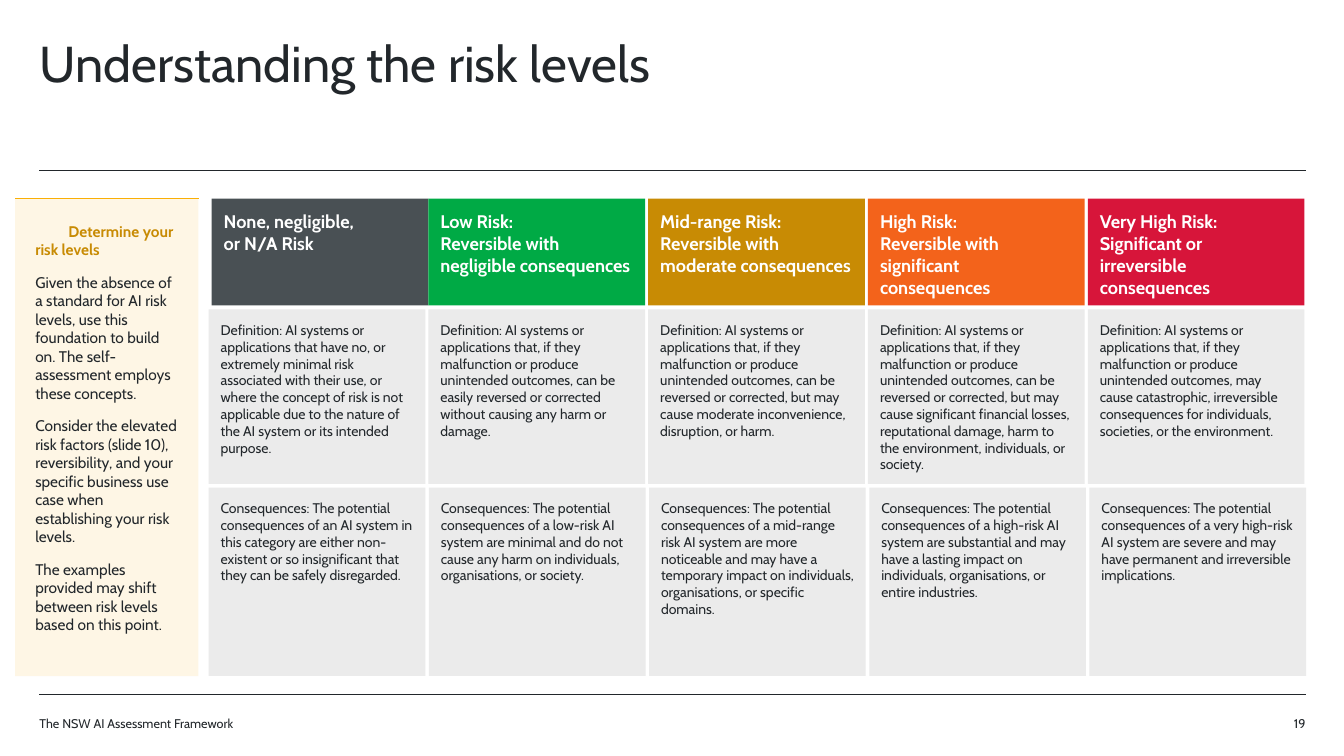
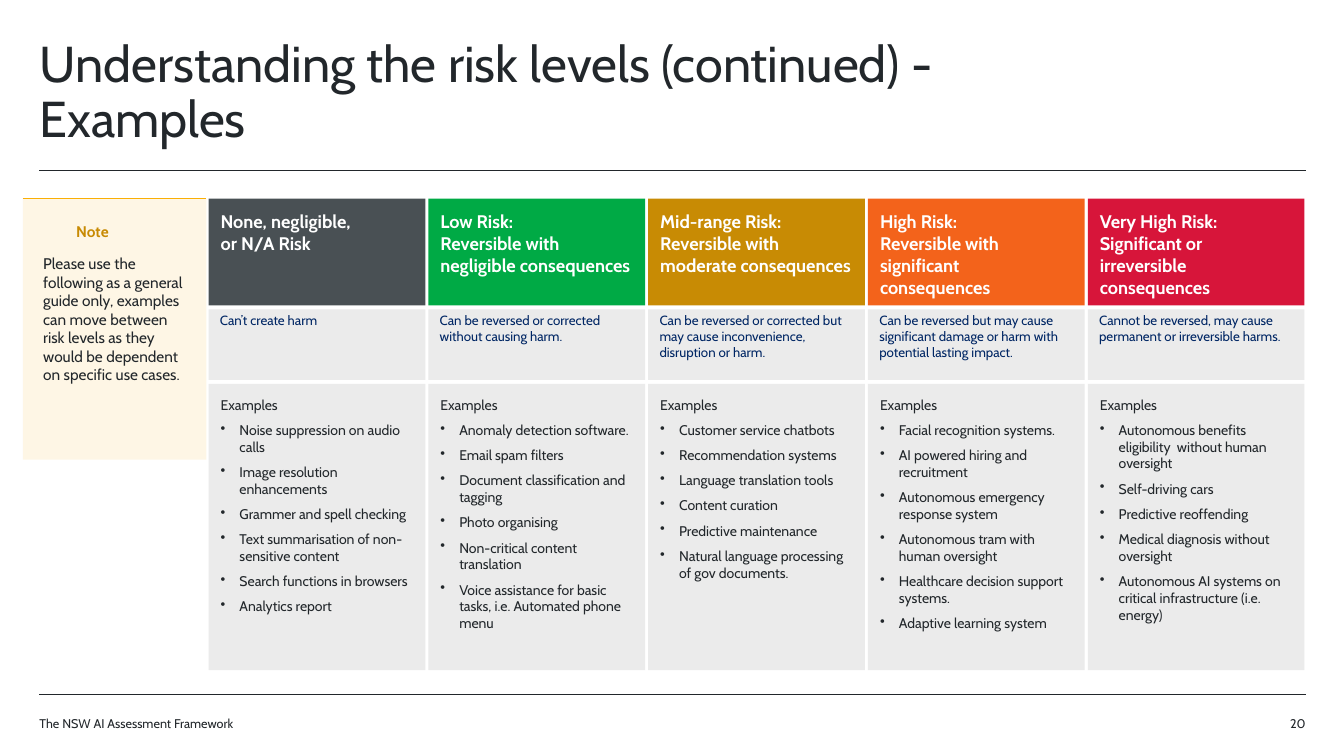
from lxml import etree
from pptx import Presentation
from pptx.dml.color import RGBColor
from pptx.enum.shapes import MSO_CONNECTOR, MSO_SHAPE
from pptx.enum.text import MSO_ANCHOR, PP_ALIGN
from pptx.oxml.ns import qn
from pptx.util import Pt

LEFT, RIGHT = PP_ALIGN.LEFT, PP_ALIGN.RIGHT
TOP = MSO_ANCHOR.TOP
RECT = MSO_SHAPE.RECTANGLE
STRAIGHT = MSO_CONNECTOR.STRAIGHT

# Shared look
FONT = "Cabin"
INK, WHITE, PANEL, NAVY = "22272B", "FFFFFF", "EBEBEB", "002664"
AMBER, OCHRE = "FAAF05", "C88B04"
MARGIN, RULE_RIGHT = 28.2, 932.6
GRID_LEFT, PITCH, COLUMN_WIDTH = 149, 157, 154.8
BAND_TOP, BAND_HEIGHT = 141.8, 76.4
BODY_TOP = 221
SIDEBAR_WIDTH = 131
BULLET_INDENT = 13.5
HEADING_INDENT = 23.6
NO_INSETS = (0, 0, 0, 0)
BAND_INSETS = (8.6, 8.6, 8.6, 8.6)
CELL_INSETS = (8.6, 8.6, 8.6, 0)
NOTE_INSETS = (7.2, 3.6, 7.2, 3.6)
SIDEBAR_INSETS = (14.4, 16.6, 14.4, 14.4)

TITLE_STYLE = {"size": 36, "line_spacing": 0.9}
FOOTER_STYLE = {"size": 9}
BAND_STYLE = {"size": 13, "bold": True, "color": WHITE}
CELL_STYLE = {"size": 10, "space_after": Pt(10)}
EXAMPLE_STYLE = {"size": 10, "space_after": Pt(6)}
SUMMARY_STYLE = {"size": 9.5, "color": NAVY}
SIDEBAR_STYLE = {"size": 11, "space_after": Pt(10)}
SIDEBAR_HEADING = {"bold": True, "color": OCHRE, "first_indent": HEADING_INDENT}
BULLET = {"bullet": True}

# Content
FOOTER = "The NSW AI Assessment Framework"
RISK_LEVELS = [
    ("495054", ["None, negligible,", "or N/A Risk"]),
    ("00AA45", ["Low Risk:", "Reversible with negligible consequences"]),
    (OCHRE, ["Mid-range Risk: Reversible with moderate consequences"]),
    ("F3631B", ["High Risk:", "Reversible with significant consequences"]),
    ("D7153A", ["Very High Risk: Significant or irreversible consequences"]),
]
MALFUNCTION = "that, if they malfunction or produce unintended outcomes, "
DEFINITIONS = [
    "that have no, or extremely minimal risk associated with their use, or where "
    "the concept of risk is not applicable due to the nature of the AI system or "
    "its intended purpose.",
    MALFUNCTION + "can be easily reversed or corrected without causing any harm "
    "or damage.",
    MALFUNCTION + "can be reversed or corrected, but may cause moderate "
    "inconvenience, disruption, or harm.",
    MALFUNCTION + "can be reversed or corrected, but may cause significant "
    "financial losses, reputational damage, harm to the environment, individuals, "
    "or society.",
    MALFUNCTION + "may cause catastrophic, irreversible consequences for "
    "individuals, societies, or the environment.",
]
CONSEQUENCES = [
    "an AI system in this category are either non-existent or so insignificant "
    "that they can be safely disregarded.",
    "a low-risk AI system are minimal and do not cause any harm on individuals, "
    "organisations, or society.",
    "a mid-range risk AI system are more noticeable and may have a temporary "
    "impact on individuals, organisations, or specific domains.",
    "a high-risk AI system are substantial and may have a lasting impact on "
    "individuals, organisations, or entire industries.",
    "a very high-risk AI system are severe and may have permanent and "
    "irreversible implications.",
]
GUIDANCE = [
    "Given the absence of a standard for AI risk levels, use this foundation to "
    "build on. The self-assessment employs these concepts.",
    "Consider the elevated risk factors (slide 10), reversibility, and your "
    "specific business use case when establishing your risk levels.",
    "The examples provided may shift between risk levels based on this point.",
]
NOTE = [
    "Please use the following as a general guide only, examples can move between "
    "risk levels as they would be dependent on specific use cases.",
]
SUMMARIES = [
    "Can’t create harm",
    "Can be reversed or corrected without causing harm.",
    "Can be reversed or corrected but may cause inconvenience, disruption or harm.",
    "Can be reversed but may cause significant damage or harm with potential "
    "lasting impact.",
    "Cannot be reversed, may cause permanent or irreversible harms.",
]
EXAMPLES = [
    ["Noise suppression on audio calls", "Image resolution enhancements",
     "Grammer and spell checking", "Text summarisation of non-sensitive content",
     "Search functions in browsers", "Analytics report"],
    ["Anomaly detection software.", "Email spam filters",
     "Document classification and tagging", "Photo organising",
     "Non-critical content translation",
     "Voice assistance for basic tasks, i.e. Automated phone menu"],
    ["Customer service chatbots", "Recommendation systems",
     "Language translation tools", "Content curation", "Predictive maintenance",
     "Natural language processing of gov documents."],
    ["Facial recognition systems.", "AI powered hiring and recruitment",
     "Autonomous emergency response system",
     "Autonomous tram with human oversight",
     "Healthcare decision support systems.", "Adaptive learning system"],
    ["Autonomous benefits eligibility  without human oversight",
     "Self-driving cars", "Predictive reoffending",
     "Medical diagnosis without oversight",
     "Autonomous AI systems on critical infrastructure (i.e. energy)"],
]


def rgb(color):
    return RGBColor.from_string(color)


def apply(target, values):
    for name, value in values.items():
        setattr(target, name, value)


def indent(paragraph, first, left=0):
    properties = paragraph._p.get_or_add_pPr()
    properties.set("marL", str(Pt(left)))
    properties.set("indent", str(Pt(first)))
    return properties


def write(frame, paragraphs, style, insets):
    """Fill a frame with plain strings or (string, overrides) pairs."""
    left, top, right, bottom = insets
    apply(frame, {"word_wrap": True, "vertical_anchor": TOP,
                  "margin_left": Pt(left), "margin_top": Pt(top),
                  "margin_right": Pt(right), "margin_bottom": Pt(bottom)})
    for index, item in enumerate(paragraphs):
        text, overrides = (item, {}) if isinstance(item, str) else item
        look = {**style, **overrides}
        paragraph = frame.paragraphs[0] if index == 0 else frame.add_paragraph()
        apply(paragraph, {"alignment": look.get("align", LEFT),
                          "line_spacing": look.get("line_spacing", 1.0),
                          "space_after": look.get("space_after", Pt(0))})
        if "first_indent" in look:
            indent(paragraph, look["first_indent"])
        if look.get("bullet"):
            properties = indent(paragraph, -BULLET_INDENT, BULLET_INDENT)
            etree.SubElement(properties, qn("a:buChar")).set("char", "•")
        run = paragraph.add_run()
        run.text = text
        apply(run.font, {"name": FONT, "size": Pt(look["size"]),
                         "bold": look.get("bold", False)})
        run.font.color.rgb = rgb(look.get("color", INK))


def add_text(slide, box, paragraphs, style, insets=NO_INSETS):
    label = slide.shapes.add_textbox(*map(Pt, box))
    write(label.text_frame, paragraphs, style, insets)


def add_panel(slide, box, fill, paragraphs=(), style=None, insets=NO_INSETS):
    panel = slide.shapes.add_shape(RECT, *map(Pt, box))
    panel.shadow.inherit = False
    panel.fill.solid()
    panel.fill.fore_color.rgb = rgb(fill)
    panel.line.fill.background()
    if paragraphs:
        write(panel.text_frame, paragraphs, style, insets)
    return panel


def add_rule(slide, left, right, y, color, width):
    rule = slide.shapes.add_connector(STRAIGHT, Pt(left), Pt(y), Pt(right), Pt(y))
    rule.line.color.rgb = rgb(color)
    rule.line.width = Pt(width)
    etree.SubElement(rule._element.spPr, qn("a:effectLst"))


def add_frame(deck, title, number):
    """Start a slide with its title, rules and footer."""
    slide = deck.slides.add_slide(deck.slide_layouts[6])
    for y in (121.7, 496):
        add_rule(slide, MARGIN, RULE_RIGHT, y, INK, 0.5)
    add_text(slide, (MARGIN, 28.2, 793.4, 79.2), [title], TITLE_STYLE)
    add_text(slide, (MARGIN, 511.2, 423.4, 14.4), [FOOTER], FOOTER_STYLE)
    add_text(slide, (876, 511.2, RULE_RIGHT - 876, 14.4), [str(number)],
             {**FOOTER_STYLE, "align": RIGHT})
    return slide


def column_box(column, top, height, left=GRID_LEFT, pitch=PITCH):
    return left + column * pitch, top, COLUMN_WIDTH, height


def add_bands(slide, first_shift=0):
    for column, (color, lines) in enumerate(RISK_LEVELS):
        left = GRID_LEFT + (first_shift if column == 0 else 0)
        add_panel(slide, column_box(column, BAND_TOP, BAND_HEIGHT, left),
                  color, lines, BAND_STYLE, BAND_INSETS)


def add_cells(slide, cells, top, height, style, pitch=PITCH):
    for column, paragraphs in enumerate(cells):
        add_panel(slide, column_box(column, top, height, pitch=pitch),
                  PANEL, paragraphs, style, CELL_INSETS)


def add_sidebar(slide, left, height, heading, body):
    add_rule(slide, left, left + SIDEBAR_WIDTH, BAND_TOP, AMBER, 1)
    panel = add_panel(slide, (left, BAND_TOP, SIDEBAR_WIDTH, height), AMBER,
                      [(heading, SIDEBAR_HEADING), *body],
                      SIDEBAR_STYLE, SIDEBAR_INSETS)
    tint = panel._element.spPr.find(".//" + qn("a:srgbClr"))
    etree.SubElement(tint, qn("a:alpha")).set("val", "10000")


def build_levels(deck):
    slide = add_frame(deck, "Understanding the risk levels", 19)
    add_bands(slide, first_shift=2.2)
    add_sidebar(slide, 10.8, 341.3, "Determine your risk levels", GUIDANCE)
    definitions = [["Definition: AI systems or applications " + text]
                   for text in DEFINITIONS]
    consequences = [["Consequences: The potential consequences of " + text]
                    for text in CONSEQUENCES]
    add_cells(slide, definitions, BODY_TOP, 124.6, CELL_STYLE)
    add_cells(slide, consequences, 348.3, 134.6, CELL_STYLE, pitch=157.3)


def build_examples(deck):
    slide = add_frame(
        deck, "Understanding the risk levels (continued) - Examples", 20)
    add_sidebar(slide, 16.4, 186.5, "Note", NOTE)
    add_cells(slide, [[] for _ in SUMMARIES], BODY_TOP, 50.4, None)
    examples = [["Examples", *((text, BULLET) for text in items)]
                for items in EXAMPLES]
    add_cells(slide, examples, 274.3, 204.5, EXAMPLE_STYLE)
    for column, summary in enumerate(SUMMARIES):
        add_text(slide, column_box(column, 219.6, 41.8, GRID_LEFT + 1),
                 [summary], SUMMARY_STYLE, NOTE_INSETS)
    add_bands(slide)


def main():
    deck = Presentation()
    apply(deck, {"slide_width": Pt(960), "slide_height": Pt(540)})
    build_levels(deck)
    build_examples(deck)
    deck.save("out.pptx")


if __name__ == "__main__":
    main()
